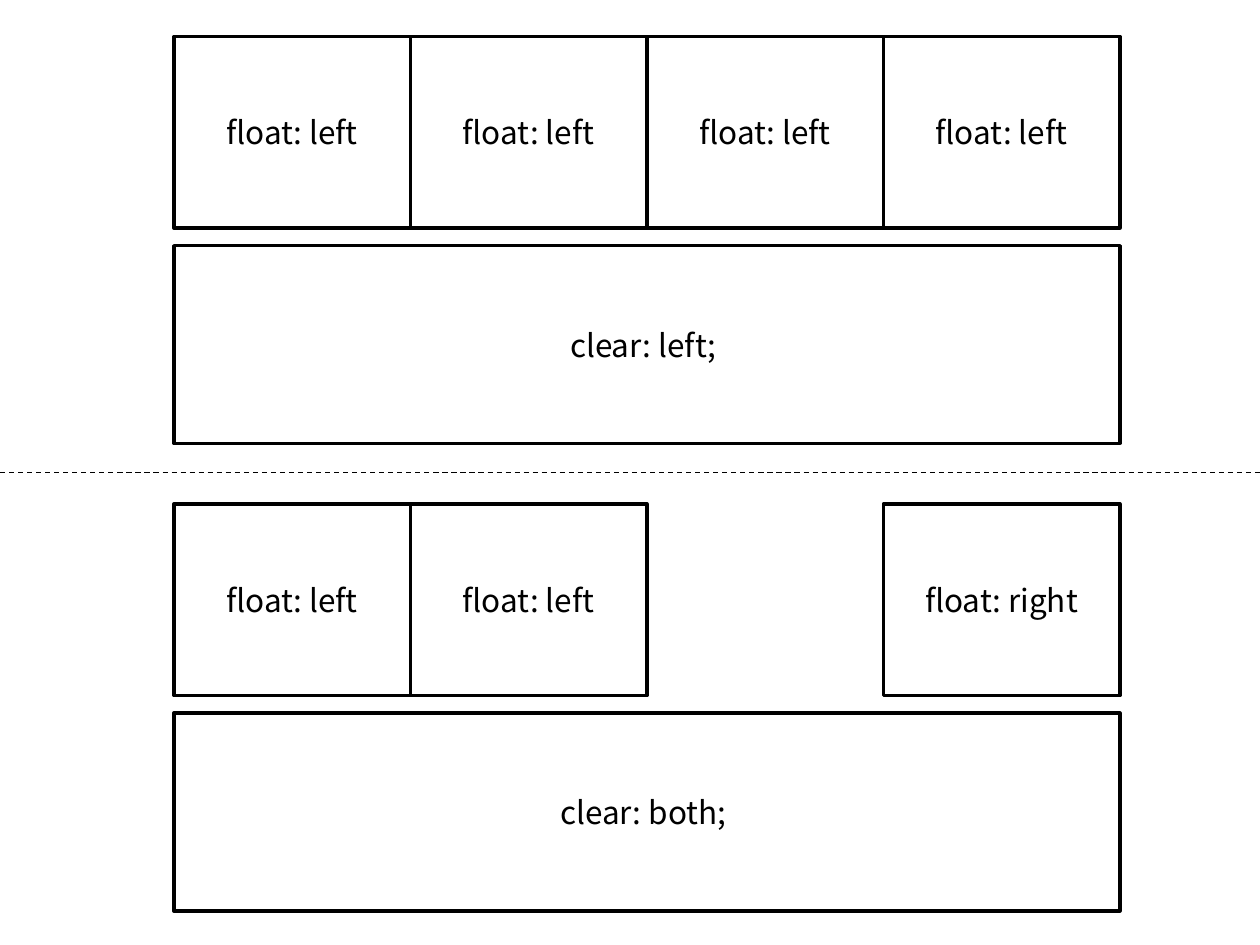
from pptx import Presentation
from pptx import util as u
from pptx.dml.color import RGBColor
from pptx.enum import dml, shapes, text
from pptx.oxml.ns import qn
from lxml import etree

FONT = "Noto Sans CJK KR"
BLACK, WHITE = "000000", "FFFFFF"
SLIDE_W, SLIDE_H = 10, 7.5

# Grid: four columns, one float row and one clear row per half
LEFT, COLS, COL_W = 1.38, 4, 1.877
FLOAT_H, CLEAR_H, CLEAR_OFFSET = 1.52, 1.57, 1.66

# Top of each half, labels by column, label of the cleared box
HALVES = [
    (0.29, ["float: left"] * COLS, "clear: left; "),
    (4.0, ["float: left", "float: left", None, "float: right"], "clear: both; "),
]


def color(value):
    return RGBColor.from_string(value)


def add_box(slide, column, top, span, height, label):
    """Draw an outlined box that spans grid columns."""
    sp = slide.shapes.add_shape(
        shapes.MSO_SHAPE.RECTANGLE,
        u.Inches(LEFT + column * COL_W), u.Inches(top),
        u.Inches(span * COL_W), u.Inches(height))
    sp.shadow.inherit = False
    sp.fill.solid()
    sp.fill.fore_color.rgb = color(WHITE)
    sp.line.color.rgb = color(BLACK)
    sp.line.width = u.Pt(2)
    tf = sp.text_frame
    tf.text = label
    tf.vertical_anchor = text.MSO_ANCHOR.MIDDLE
    p = tf.paragraphs[0]
    p.alignment = text.PP_ALIGN.CENTER
    font = p.runs[0].font
    font.name, font.size = FONT, u.Pt(18)
    font.color.rgb = color(BLACK)


def add_half(slide, top, floats, clear):
    """Draw a row of floats and the cleared box below it."""
    for column, label in enumerate(floats):
        if label:
            add_box(slide, column, top, 1, FLOAT_H, label)
    add_box(slide, 0, top + CLEAR_OFFSET, COLS, CLEAR_H, clear)


def add_divider(slide, y):
    """Draw a dashed line across the slide."""
    line = slide.shapes.add_connector(
        shapes.MSO_CONNECTOR.STRAIGHT,
        0, u.Inches(y), u.Inches(SLIDE_W), u.Inches(y))
    line.line.color.rgb = color(BLACK)
    line.line.width = u.Pt(0.75)
    line.line.dash_style = dml.MSO_LINE.DASH
    etree.SubElement(line._element.spPr, qn("a:effectLst"))


def main():
    prs = Presentation()
    prs.slide_width, prs.slide_height = u.Inches(SLIDE_W), u.Inches(SLIDE_H)
    slide = prs.slides.add_slide(prs.slide_layouts[6])
    for top, floats, clear in HALVES:
        add_half(slide, top, floats, clear)
    add_divider(slide, SLIDE_H / 2)
    prs.save("out.pptx")


main()
